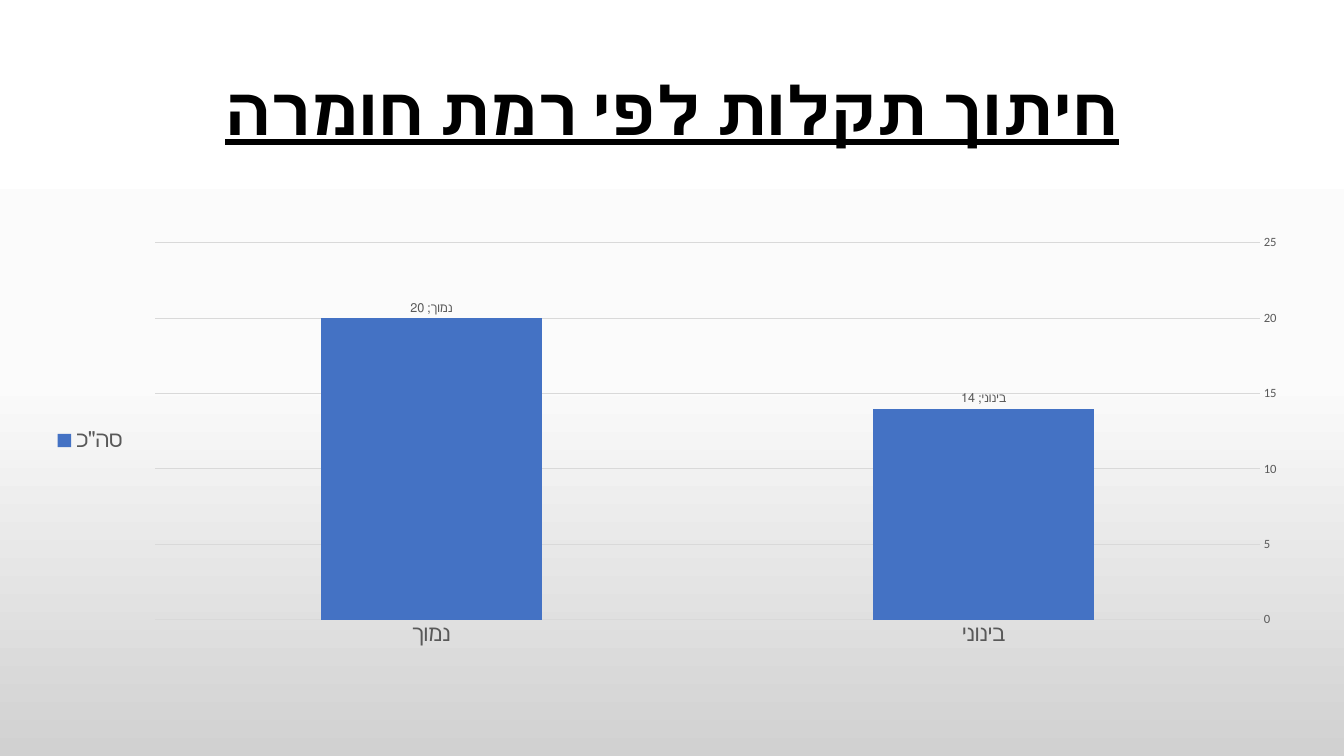
import copy

import pptx
import pptx.chart.data
import pptx.dml.color
import pptx.enum.chart
import pptx.enum.text
import pptx.oxml
import pptx.oxml.ns
import pptx.util

Pt = pptx.util.Pt
RGBColor = pptx.dml.color.RGBColor
qn = pptx.oxml.ns.qn

FONT = "Calibri"
BLACK = RGBColor(0x00, 0x00, 0x00)
LABEL_GRAY = RGBColor(0x59, 0x59, 0x59)
GRID_GRAY = RGBColor(0xD9, 0xD9, 0xD9)
BAR_BLUE = RGBColor(0x44, 0x72, 0xC4)
BACKGROUND_STOPS = [
    (0, RGBColor(0xFF, 0xFF, 0xFF)),
    (0.5, RGBColor(0xFB, 0xFB, 0xFB)),
    (1, RGBColor(0xD1, 0xD1, 0xD1)),
]


def style_font(font, size, color):
    font.name = FONT
    font.size = Pt(size)
    font.color.rgb = color


presentation = pptx.Presentation()
presentation.slide_width = Pt(960)
presentation.slide_height = Pt(540)
slide = presentation.slides.add_slide(presentation.slide_layouts[6])

# Background: three-stop gradient from top to bottom
background = slide.background.fill
background.gradient()
background.gradient_angle = 270
stop_list = background.gradient_stops[0]._gs.getparent()
stop_list.insert(1, copy.deepcopy(stop_list[0]))
for stop, (position, color) in zip(background.gradient_stops, BACKGROUND_STOPS):
    stop.position = position
    stop.color.rgb = color

# Title
title = slide.shapes.add_textbox(Pt(66), Pt(28.75), Pt(828), Pt(104.4))
title_frame = title.text_frame
title_frame.word_wrap = True
title_frame.vertical_anchor = pptx.enum.text.MSO_ANCHOR.MIDDLE
paragraph = title_frame.paragraphs[0]
paragraph.alignment = pptx.enum.text.PP_ALIGN.CENTER
paragraph.line_spacing = 0.9
paragraph._p.get_or_add_pPr().set("rtl", "1")
run = paragraph.add_run()
run.text = "חיתוך תקלות לפי רמת חומרה"
style_font(run.font, 48, BLACK)
run.font.bold = True
run.font.underline = True
complex_font = pptx.oxml.parse_xml(
    f'<a:cs {pptx.oxml.ns.nsdecls("a")} typeface="{FONT}"/>'
)
run.font._element.find(qn("a:latin")).addnext(complex_font)

# Faults by severity chart
chart_data = pptx.chart.data.CategoryChartData()
chart_data.categories = ["בינוני", "נמוך"]
chart_data.add_series('סה"כ', [14, 20])
chart = slide.shapes.add_chart(
    pptx.enum.chart.XL_CHART_TYPE.COLUMN_CLUSTERED,
    Pt(30), Pt(162), Pt(900), Pt(305.3), chart_data,
).chart
style_font(chart.font, 10, BLACK)
chart.has_title = False

# Legend
chart.has_legend = True
chart.legend.position = pptx.enum.chart.XL_LEGEND_POSITION.LEFT
chart.legend.include_in_layout = False
style_font(chart.legend.font, 16, LABEL_GRAY)

# Axes: categories run from right to left
for axis, size in ((chart.category_axis, 16), (chart.value_axis, 9)):
    axis.major_tick_mark = pptx.enum.chart.XL_TICK_MARK.NONE
    axis.minor_tick_mark = pptx.enum.chart.XL_TICK_MARK.NONE
    axis.format.line.fill.background()
    style_font(axis.tick_labels.font, size, LABEL_GRAY)
chart.category_axis.reverse_order = True
chart.value_axis.minimum_scale = 0
chart.value_axis.maximum_scale = 25
chart.value_axis.major_unit = 5
grid_line = chart.value_axis.major_gridlines.format.line
grid_line.color.rgb = GRID_GRAY
grid_line.width = Pt(0.75)

# Columns and their labels
plot = chart.plots[0]
plot.gap_width = 150
plot.vary_by_categories = False
series = plot.series[0]
series.format.fill.solid()
series.format.fill.fore_color.rgb = BAR_BLUE
labels = series.data_labels
labels.show_value = True
labels.show_category_name = True
labels.position = pptx.enum.chart.XL_LABEL_POSITION.OUTSIDE_END
style_font(labels.font, 9, LABEL_GRAY)
separator = pptx.oxml.parse_xml(
    f'<c:separator {pptx.oxml.ns.nsdecls("c")}>; </c:separator>'
)
labels._element.find(qn("c:showBubbleSize")).addnext(separator)

presentation.save("out.pptx")
